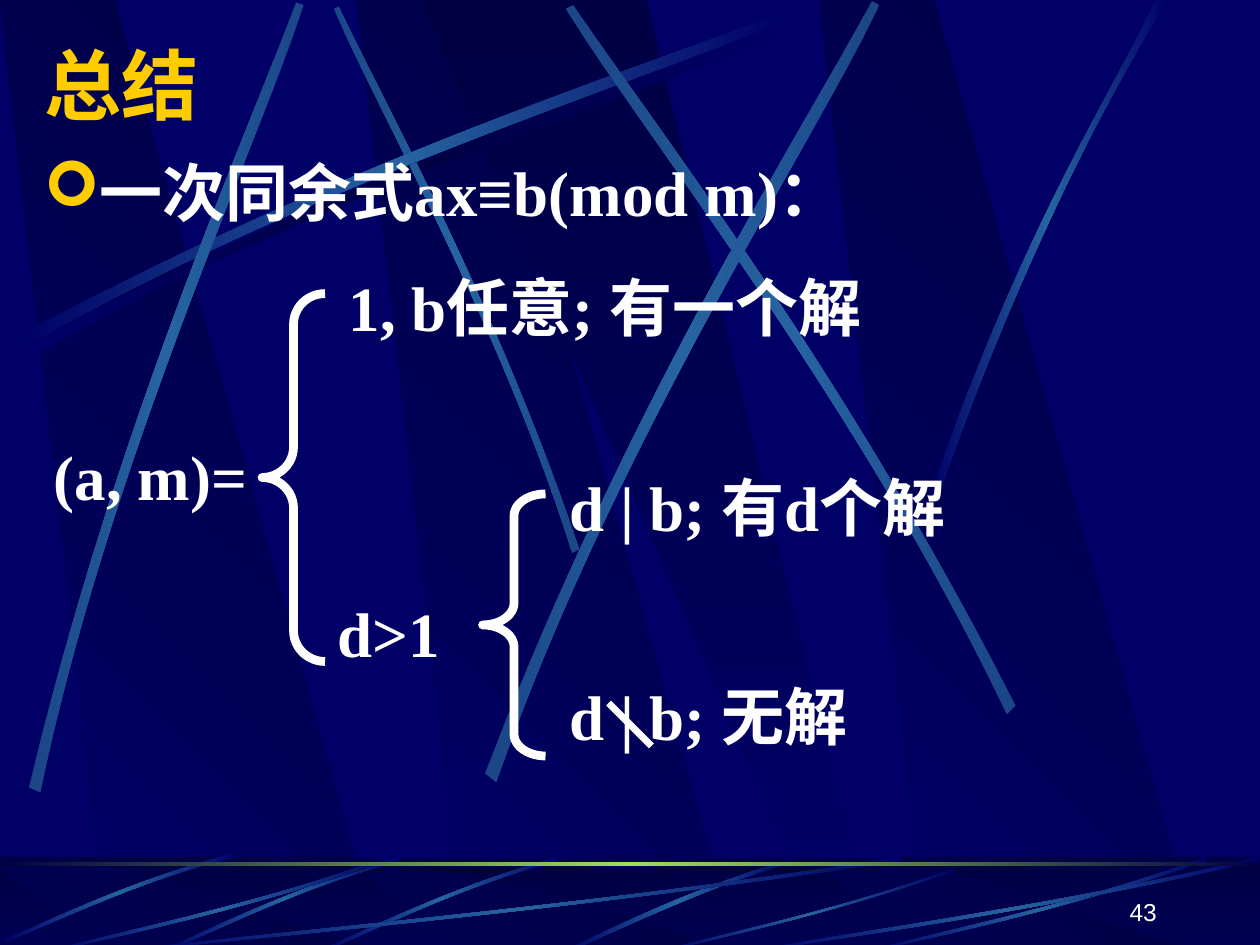
from lxml.etree import SubElement
from pptx import Presentation
from pptx.dml.color import RGBColor
from pptx.enum.shapes import MSO_CONNECTOR, MSO_SHAPE
from pptx.enum.text import MSO_ANCHOR, PP_ALIGN
from pptx.oxml import parse_xml
from pptx.oxml.ns import nsdecls, qn
from pptx.util import Inches, Pt

COLORS = {"navy": "000066", "dark": "000044", "streak": "2663A0", "streak_end": "1B4688",
          "rule": "9CE157", "gold": "FFCC00", "white": "FFFFFF"}
SERIF = "Times New Roman"
FADE = ("navy", "streak", "navy")
STEADY = ("streak_end", "streak", "streak_end")

# Each streak: colours, then one curve out and one curve back (four points each)
UPPER_STREAKS = [
    (("navy", "dark", "navy"), [(0.2, 2.75), (2.84, 1.34), (5.24, 0.59), (6.26, 0.18),
                                (6.29, 0.24), (5.28, 0.69), (2.54, 1.51), (0.23, 2.85)]),
    (STEADY, [(4.6, 4.36), (3.91, 2.34), (3.02, 0.77), (2.69, 0.05),
              (2.65, 0.07), (2.95, 0.79), (3.98, 2.58), (4.54, 4.39)]),
    (FADE, [(0.14, 2.67), (2.78, 1.25), (5.18, 0.51), (6.2, 0.1),
            (6.23, 0.16), (5.22, 0.61), (2.48, 1.43), (0.17, 2.77)]),
    (STEADY, [(0.23, 6.25), (0.93, 3.34), (1.97, 1.05), (2.35, 0.02),
              (2.41, 0.04), (2.07, 1.09), (0.86, 3.68), (0.32, 6.29)]),
    (STEADY, [(3.85, 6.14), (4.98, 3.2), (6.38, 1.02), (6.92, 0.01),
              (6.98, 0.04), (6.49, 1.08), (4.86, 3.55), (3.94, 6.21)]),
    (STEADY, [(8.06, 5.6), (6.7, 2.93), (5.16, 0.95), (4.55, 0.04),
              (4.49, 0.07), (5.07, 1.01), (6.85, 3.25), (7.99, 5.67)]),
    (FADE, [(7.38, 3.94), (8.14, 1.73), (8.88, 0.66), (9.17, 0),
            (9.27, 0), (8.36, 1.45), (7.69, 3.22), (7.44, 3.97)]),
]
# Footer streaks: left edges where the shape is used, then its points
FOOTER_STREAKS = [
    ([4.48], [(1.79, 0.02), (0.89, 0.29), (0.29, 0.62), (0, 0.74),
              (0.05, 0.75), (0.42, 0.58), (1.23, 0.2), (1.8, 0.05)]),
    ([2.56, 1.31], [(1.86, 0), (0.99, 0.25), (0.31, 0.6), (0, 0.73),
                    (0.01, 0.75), (0.32, 0.63), (1.09, 0.23), (1.88, 0.03)]),
    ([0.02], [(1.84, -0.03), (0.97, 0.2), (0.31, 0.54), (0, 0.66),
              (0.01, 0.68), (0.32, 0.57), (1.08, 0.18), (1.86, 0)]),
    ([1], [(6.17, 0.03), (3.49, 0.43), (1.06, 0.64), (0.03, 0.75),
           (0, 0.74), (1.02, 0.61), (3.8, 0.38), (6.14, 0)]),
    ([0.42, 6.92], [(2.66, 0.03), (1.51, 0.43), (0.46, 0.64), (0.01, 0.75),
                    (0, 0.74), (0.44, 0.61), (1.64, 0.38), (2.65, 0)]),
    ([5.27], [(2.31, 0.11), (1.31, 0.46), (0.4, 0.65), (0.01, 0.75),
              (0, 0.74), (0.38, 0.63), (1.42, 0.42), (2.3, 0.09)]),
    ([6], [(4, 0.03), (2.27, 0.43), (0.69, 0.64), (0.02, 0.75),
           (0, 0.74), (0.66, 0.61), (2.46, 0.38), (3.98, 0)]),
]


def color(name):
    return RGBColor.from_string(COLORS[name])


def paint(shape, names, angle=0, alpha=None):
    """Fill with one colour, or with an even gradient through several."""
    shape.shadow.inherit = False
    shape.line.fill.background()
    shape.fill.solid()
    shape.fill.fore_color.rgb = color(names[0])
    solid = shape.element.spPr.find(qn("a:solidFill"))
    if alpha is not None:
        SubElement(solid[0], qn("a:alpha"), val=str(alpha * 1000))
    if len(names) > 1:
        stops = "".join(
            f'<a:gs pos="{100000 * index // (len(names) - 1)}"><a:srgbClr val="{COLORS[name]}"/></a:gs>'
            for index, name in enumerate(names))
        gradient = parse_xml(f'<a:gradFill {nsdecls("a")}><a:gsLst>{stops}</a:gsLst>'
                             f'<a:lin ang="{angle * 60000}" scaled="0"/></a:gradFill>')
        solid.getparent().replace(solid, gradient)


def add_polygon(group, left, top, points, names, angle=0):
    corners = [(Inches(left + x), Inches(top + y)) for x, y in points]
    builder = group.shapes.build_freeform(*corners[0])
    builder.add_line_segments(corners[1:], close=True)
    shape = builder.convert_to_shape()
    paint(shape, names, angle)
    return shape


def add_rectangle(group, left, top, width, height, names, angle=0, alpha=None):
    shape = group.shapes.add_shape(MSO_SHAPE.RECTANGLE, Inches(left), Inches(top),
                                   Inches(width), Inches(height))
    paint(shape, names, angle, alpha)


def add_streak(group, left, top, points, names):
    """Outline of two cubic curves joined by a short edge."""
    shape = add_polygon(group, left, top, points, names)
    lines = list(shape.element.spPr.iter(qn("a:lnTo")))
    for segment in (lines[:3], lines[4:7]):
        cubic = parse_xml(f'<a:cubicBezTo {nsdecls("a")}/>')
        segment[0].addprevious(cubic)
        for line in segment:
            cubic.append(line[0])
            line.getparent().remove(line)


def add_beams(group, top, height):
    for left in (2.83, 0, 6.5):
        add_polygon(group, left, top, [(0.86, height), (3.02, height), (0.91, 0), (0, 0)],
                    ("navy", "dark"), 315)
    add_polygon(group, 3.33, top, [(0, 0), (3.25, height), (3.61, height), (1.8, 0)],
                ("dark", "navy"), 90)


def add_backdrop(group, height):
    add_beams(group, 0, height)
    for names, points in UPPER_STREAKS:
        add_streak(group, 0, 0, points, names)


def add_footer(group, top, width, height):
    add_rectangle(group, 0, top, width, height, ("dark", "navy"), 90)
    add_beams(group, top + 0.08, height - 0.08)
    add_rectangle(group, 0, top, width, height, ("dark",), alpha=50)
    for lefts, points in FOOTER_STREAKS:
        for left in lefts:
            add_streak(group, left, top, points, FADE)
    add_rectangle(group, 0, top + 0.04, width, 0.03, ("dark", "rule", "dark"))


def decorate_master(master, slide):
    """Assemble the decoration as one group and hand it to the master."""
    master.background.fill.solid()
    master.background.fill.fore_color.rgb = color("navy")
    group = slide.shapes.add_group_shape()
    add_backdrop(group, 7.52)
    add_footer(group, 6.8, 10, 0.75)
    master.placeholders[0].element.addprevious(group.element)


def write(paragraph, text, size, font, bold, color_name):
    run = paragraph.add_run()
    run.text = text
    run.font.size, run.font.name, run.font.bold = Pt(size), font, bold
    run.font.color.rgb = color(color_name)


def add_text(slide, left, top, width, height, text, size=36, font=SERIF, bold=True,
             anchor=MSO_ANCHOR.TOP):
    frame = slide.shapes.add_textbox(Inches(left), Inches(top), Inches(width), Inches(height)).text_frame
    frame.word_wrap = True
    frame.vertical_anchor = anchor
    write(frame.paragraphs[0], text, size, font, bold, "white")
    return frame.paragraphs[0]


def add_heading(slide, left, top, width, height):
    title = slide.shapes.title
    title.left, title.top, title.width, title.height = map(Inches, (left, top, width, height))
    title.text_frame.vertical_anchor = MSO_ANCHOR.MIDDLE
    paragraph = title.text_frame.paragraphs[0]
    paragraph.alignment = PP_ALIGN.LEFT
    write(paragraph, "总结", 44, "Montserrat", True, "gold")


def add_statement(slide, left, top, width, height):
    paragraph = add_text(slide, left, top, width, height, "一次同余式ax≡b(mod m)：")
    properties = paragraph._p.get_or_add_pPr()
    properties.set("marL", str(Inches(0.38)))
    properties.set("indent", str(-Inches(0.38)))
    bullet_color = SubElement(properties, qn("a:buClr"))
    SubElement(bullet_color, qn("a:srgbClr"), val=COLORS["gold"])
    SubElement(properties, qn("a:buFont"), typeface="Wingdings")
    SubElement(properties, qn("a:buChar"), char="➢")


def add_brace(slide, left, top, width, height, curl):
    brace = slide.shapes.add_shape(MSO_SHAPE.LEFT_BRACE, Inches(left), Inches(top),
                                   Inches(width), Inches(height))
    brace.shadow.inherit = False
    brace.fill.background()
    brace.line.color.rgb = color("white")
    brace.line.width = Pt(5)
    brace.adjustments[0] = curl
    SubElement(brace.element.spPr.find(qn("a:ln")), qn("a:round"))


def add_cases(slide, left, top):
    """Case tree: the gcd, its two values, and the two outcomes of d>1."""
    for x, y, width, text in [(0, 1.34, 1.75, "(a, m)="), (2.34, 0, 4.92, "1, b任意; 有一个解"),
                              (2.25, 2.59, 1.17, "d>1"), (4.09, 1.59, 3.33, "d | b; 有d个解"),
                              (4.09, 3.25, 2.83, "d | b; 无解")]:
        add_text(slide, left + x, top + y, width, 0.7, text)
    add_brace(slide, left + 1.75, top + 0.25, 0.5, 2.92, 0.486)
    add_brace(slide, left + 3.5, top + 1.84, 0.5, 2.08, 0.347)
    # Stroke that negates "divides"
    x, y = left + 4.5, top + 3.5
    stroke = slide.shapes.add_connector(MSO_CONNECTOR.STRAIGHT, Inches(x), Inches(y),
                                        Inches(x + 0.34), Inches(y + 0.34))
    stroke.line.color.rgb = color("white")
    stroke.line.width = Pt(4)
    SubElement(stroke.element.spPr, qn("a:effectLst"))


def main():
    presentation = Presentation()
    presentation.slide_width, presentation.slide_height = Inches(10), Inches(7.5)
    slide = presentation.slides.add_slide(presentation.slide_layouts[5])
    decorate_master(presentation.slide_master, slide)
    add_heading(slide, 0.25, 0.25, 9.42, 0.83)
    add_statement(slide, 0.25, 1.17, 9.5, 5.5)
    add_cases(slide, 0.33, 2.08)
    # Slide number
    number = add_text(slide, 7.2, 6.9, 2.08, 0.5, "43", 14, "Arial", False, MSO_ANCHOR.BOTTOM)
    number.alignment = PP_ALIGN.RIGHT
    presentation.save("out.pptx")


if __name__ == "__main__":
    main()
